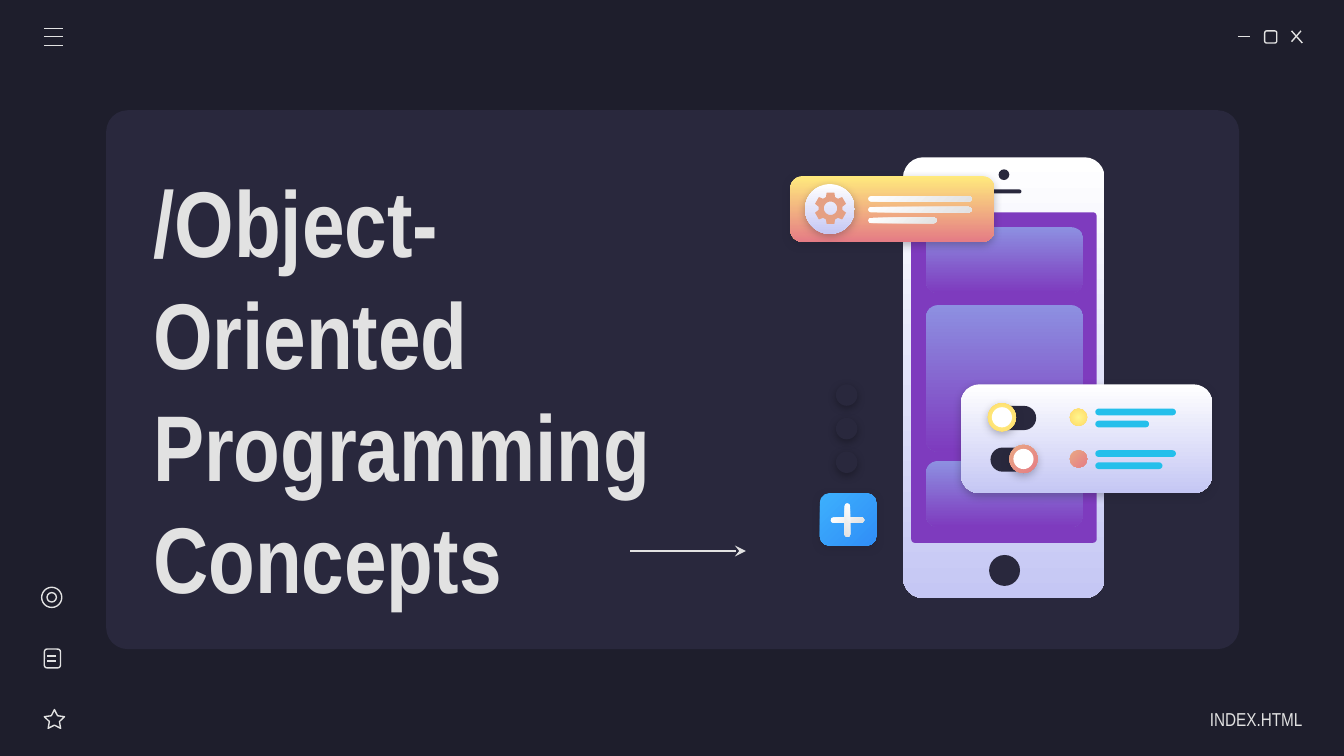
from dataclasses import dataclass
from math import cos, radians, sin

from lxml import etree
from pptx import Presentation
from pptx.dml.color import RGBColor
from pptx.enum.shapes import MSO_CONNECTOR, MSO_SHAPE
from pptx.enum.text import MSO_ANCHOR, MSO_AUTO_SIZE, PP_ALIGN
from pptx.oxml import parse_xml
from pptx.oxml.ns import nsdecls, qn
from pptx.util import Inches, Pt

ROUND = MSO_SHAPE.ROUNDED_RECTANGLE
OVAL = MSO_SHAPE.OVAL
STAR = MSO_SHAPE.STAR_5_POINT
STRAIGHT = MSO_CONNECTOR.STRAIGHT
MIDDLE = MSO_ANCHOR.MIDDLE
NO_AUTO_SIZE = MSO_AUTO_SIZE.NONE
LEFT, RIGHT = PP_ALIGN.LEFT, PP_ALIGN.RIGHT


@dataclass(frozen=True)
class Theme:
    background: str = "1E1E2C"
    panel: str = "29283D"
    light: str = "E2E2E2"
    white: str = "FFFFFF"
    screen: str = "7E3BBE"
    gear: str = "E5A083"
    cyan: str = "24BFEB"
    black: str = "000000"
    # Gradients: first colour, last colour, clockwise angle (None is radial)
    pearl: tuple = ("FFFFFF", "C5C7F4", 90)
    violet: tuple = ("8D90E1", "7E3BBE", 90)
    sunset: tuple = ("FFEA7D", "E57C85", 90)
    silver: tuple = ("FFFFFF", "E2E2E2", 45)
    coral: tuple = ("E9A984", "E57C85", 45)
    yellow: tuple = ("FFF68E", "FFD966", None)
    blue: tuple = ("3DB0FD", "308EF7", 45)
    font: str = "Arial Narrow"
    title_size: int = 50
    label_size: int = 10
    line_width: float = 0.75


theme = Theme()


def paint(shape, fill=None, shadow=None):
    """Apply a solid or gradient fill; a shape without fill gets an outline."""
    shape.shadow.inherit = False
    if fill is None:
        shape.fill.background()
        shape.line.color.rgb = RGBColor.from_string(theme.light)
        shape.line.width = Pt(theme.line_width)
        return
    shape.line.fill.background()
    if isinstance(fill, str):
        shape.fill.solid()
        shape.fill.fore_color.rgb = RGBColor.from_string(fill)
    else:
        *colours, angle = fill
        shape.fill.gradient()
        for stop, colour in zip(shape.fill.gradient_stops, colours):
            stop.color.rgb = RGBColor.from_string(colour)
        if angle is None:
            linear = shape.element.spPr.find(".//" + qn("a:lin"))
            linear.getparent().replace(linear, parse_xml(
                f'<a:path {nsdecls("a")} path="circle">'
                '<a:fillToRect l="50000" t="50000" r="50000" b="50000"/></a:path>'))
        else:
            shape.fill.gradient_angle = 360 - angle
    if shadow:
        effects = shape.element.spPr.find(qn("a:effectLst"))
        effects.append(parse_xml(
            f'<a:outerShdw {nsdecls("a")} blurRad="{Pt(4.5)}" dist="{Pt(1.5)}" '
            f'dir="5400000" algn="bl" rotWithShape="0"><a:srgbClr val="{shadow}">'
            '<a:alpha val="30000"/></a:srgbClr></a:outerShdw>'))


def add_shape(kind, box, adjustment=None, fill=None, shadow=None):
    shape = slide.shapes.add_shape(kind, *map(Inches, box))
    if adjustment is not None:
        shape.adjustments[0] = adjustment
    paint(shape, fill, shadow)
    return shape


presentation = Presentation()
presentation.slide_width = Inches(10)
presentation.slide_height = Inches(10 * 9 / 16)
slide = presentation.slides.add_slide(presentation.slide_layouts[5])
slide.background.fill.solid()
slide.background.fill.fore_color.rgb = RGBColor.from_string(theme.background)

# Title and page label, with the panel behind them
title = slide.shapes.title
panel = add_shape(ROUND, (0.79, 0.82, 8.43, 4.01), 0.04, theme.panel)
title.element.addprevious(panel.element)
label = slide.shapes.add_textbox(0, 0, 0, 0)
texts = [
    (title, "/Object-Oriented Programming Concepts", (1.04, 2.07, 4.3, 1.64),
     LEFT, 0.1, {"size": Pt(theme.title_size), "bold": True}),
    (label, "INDEX.HTML", (8.52, 5.2, 1.17, 0.3),
     RIGHT, 0, {"size": Pt(theme.label_size), "bold": False}),
]
for shape, text, box, alignment, right_inset, font_format in texts:
    shape.left, shape.top, shape.width, shape.height = map(Inches, box)
    frame = shape.text_frame
    frame.text = text
    frame_format = {
        "word_wrap": True, "auto_size": NO_AUTO_SIZE, "vertical_anchor": MIDDLE,
        "margin_left": Inches(0.1), "margin_right": Inches(right_inset),
        "margin_top": Inches(0.1), "margin_bottom": Inches(0.1),
    }
    for name, value in frame_format.items():
        setattr(frame, name, value)
    paragraph = frame.paragraphs[0]
    paragraph.alignment = alignment
    paragraph.line_spacing = 1.0
    font = paragraph.runs[0].font
    for name, value in {"name": theme.font, **font_format}.items():
        setattr(font, name, value)
    font.color.rgb = RGBColor.from_string(theme.light)

# Window and sidebar icons
add_shape(ROUND, (9.41, 0.23, 0.09, 0.09), 0.17)
add_shape(STAR, (0.33, 5.28, 0.15, 0.14), 0.25)
add_shape(ROUND, (0.33, 4.83, 0.12, 0.14), 0.17)
add_shape(OVAL, (0.31, 4.37, 0.15, 0.15))
add_shape(OVAL, (0.35, 4.41, 0.07, 0.07))

# Phone
add_shape(ROUND, (6.72, 1.17, 1.5, 3.28), 0.1, theme.pearl)
add_shape(ROUND, (6.78, 1.58, 1.38, 2.46), 0.02, theme.screen)
add_shape(OVAL, (7.43, 1.26, 0.08, 0.08), fill=theme.panel)
add_shape(ROUND, (7.35, 1.41, 0.25, 0.03), 0.5, theme.panel)
add_shape(OVAL, (7.36, 4.13, 0.23, 0.23), fill=theme.panel)
for top, height in [(1.69, 0.49), (2.27, 1.09), (3.43, 0.49)]:
    add_shape(ROUND, (6.89, top, 1.17, height), 0.09 / height, theme.violet)

# Settings card
add_shape(ROUND, (5.88, 1.31, 1.52, 0.49), 0.19, theme.sunset, theme.background)
add_shape(OVAL, (5.99, 1.37, 0.37, 0.37), None, theme.pearl, theme.background)
for row, width in enumerate([0.77, 0.77, 0.51]):
    add_shape(ROUND, (6.46, 1.46 + 0.08 * row, width, 0.04), 0.5, theme.silver)

# Gear: six teeth around a round hole
teeth = [(60 * tooth + offset, radius) for tooth in range(6)
         for offset, radius in [(-22, 0.09), (-14, 0.12), (14, 0.12), (22, 0.09)]]
hole = [(angle, 0.05) for angle in range(0, 360, 15)]
outer, inner = [
    [(Inches(6.18 + radius * sin(radians(angle))),
      Inches(1.55 - radius * cos(radians(angle)))) for angle, radius in ring]
    for ring in (teeth, hole)]
builder = slide.shapes.build_freeform(*outer[0])
builder.add_line_segments(outer[1:], close=True)
builder.move_to(*inner[0])
builder.add_line_segments(inner[1:], close=True)
paint(builder.convert_to_shape(), theme.gear)

# Toggle card
add_shape(ROUND, (7.15, 2.86, 1.87, 0.81), 0.17, theme.pearl, theme.background)
toggles = [(3.0, 7.35, theme.yellow, 0.4), (3.31, 7.51, theme.coral, 0.5)]
for top, knob_left, colour, short_bar in toggles:
    add_shape(ROUND, (7.37, top + 0.02, 0.34, 0.18), 0.5, theme.panel)
    add_shape(OVAL, (knob_left, top, 0.21, 0.21), None, colour, theme.background)
    add_shape(OVAL, (knob_left + 0.03, top + 0.03, 0.15, 0.15), fill=theme.white)
    add_shape(OVAL, (7.96, top + 0.04, 0.13, 0.13), fill=colour)
    for offset, width in [(0.04, 0.6), (0.13, short_bar)]:
        add_shape(ROUND, (8.15, top + offset, width, 0.05), 0.5, theme.cyan)

# Plus button and the dots above it
add_shape(ROUND, (6.1, 3.67, 0.42, 0.39), 0.18, theme.blue, theme.background)
for rotation in (0, 90):
    bar = add_shape(ROUND, (6.18, 3.85, 0.25, 0.04), 0.5, theme.silver)
    bar.rotation = rotation
for row in range(3):
    add_shape(OVAL, (6.22, 2.86 + 0.25 * row, 0.16, 0.16), None, theme.panel, theme.black)

# Lines: window buttons, menu, document icon, then the arrow
lines = [(9.21, 0.27, 9.3, 0.27), (9.61, 0.23, 9.69, 0.32), (9.68, 0.23, 9.61, 0.31)]
lines += [(0.33, y, 0.47, y) for y in (0.21, 0.27, 0.34)]
lines += [(0.35, y, 0.42, y) for y in (4.88, 4.92)]
lines.append((4.69, 4.1, 5.55, 4.1))
for ends in lines:
    connector = slide.shapes.add_connector(STRAIGHT, *map(Inches, ends))
    connector.line.color.rgb = RGBColor.from_string(theme.light)
    connector.line.width = Pt(theme.line_width)
    etree.SubElement(connector.element.spPr, qn("a:effectLst"))
arrow = connector
etree.SubElement(arrow.element.spPr.find(qn("a:ln")), qn("a:tailEnd"), type="stealth")

presentation.save("out.pptx")
